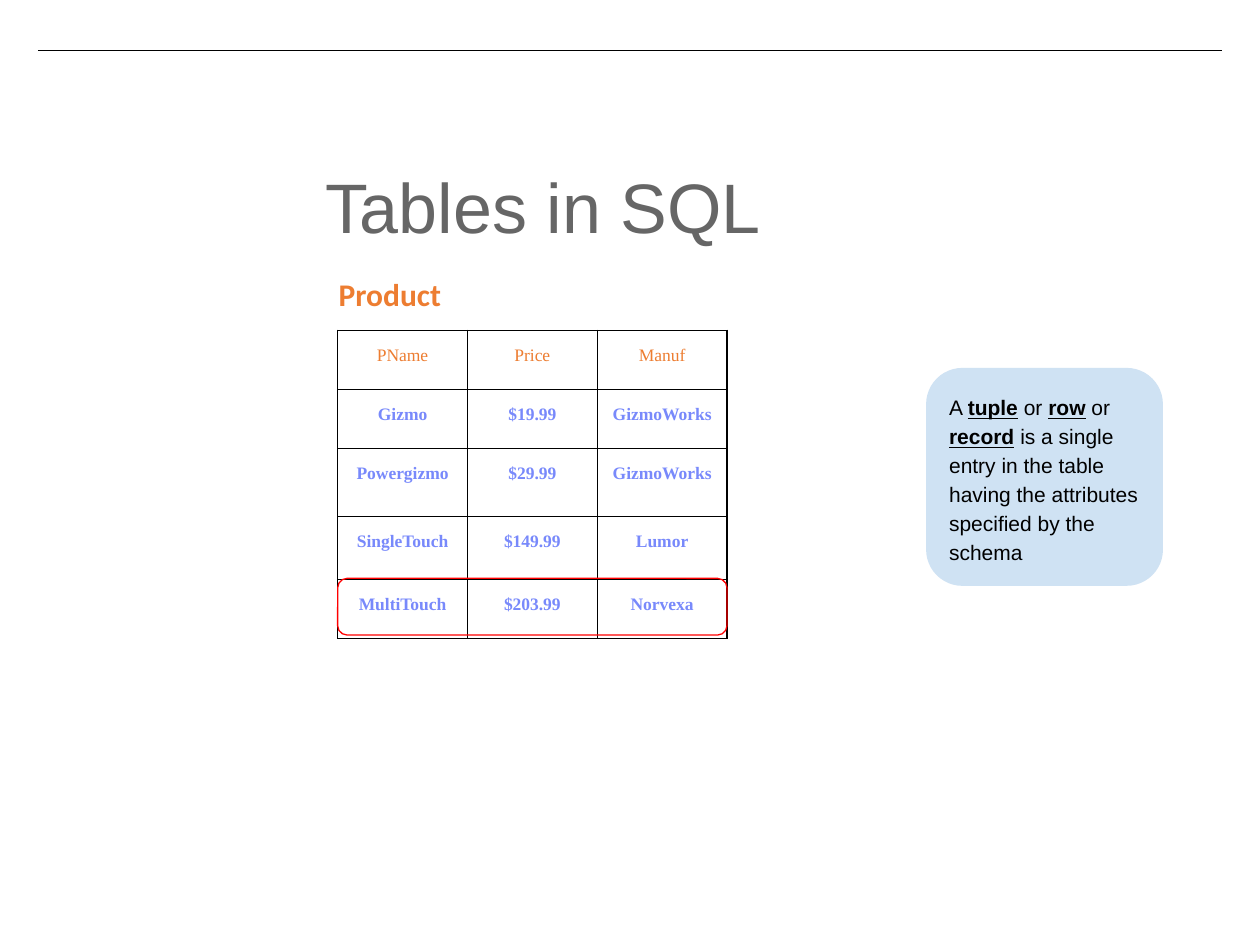
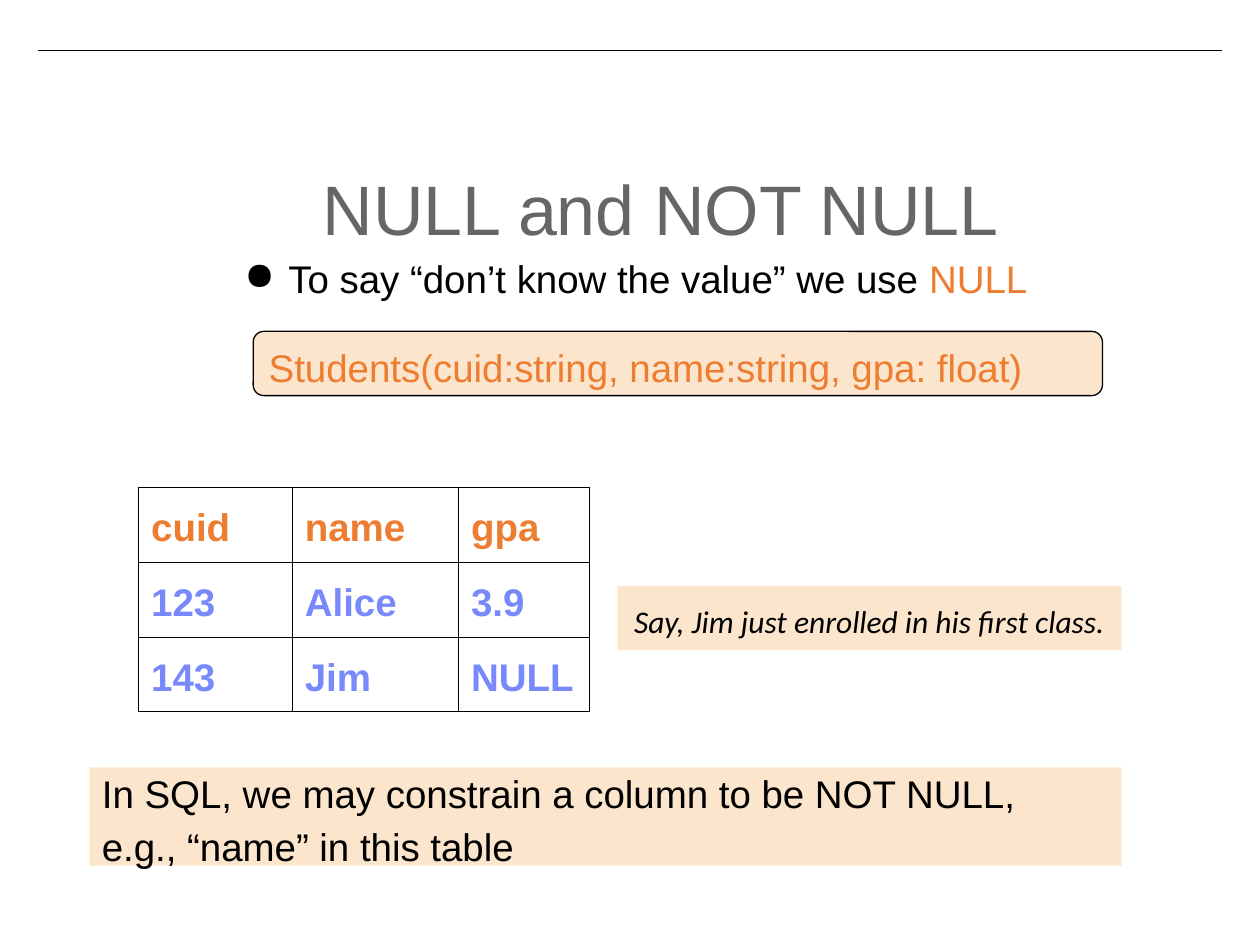
from dataclasses import dataclass
from typing import NamedTuple, Optional

import pptx
import pptx.dml.color
import pptx.enum.shapes
import pptx.enum.text
import pptx.oxml
import pptx.oxml.ns
import pptx.util
from lxml import etree

RGBColor = pptx.dml.color.RGBColor
Align = pptx.enum.text.PP_ALIGN
Anchor = pptx.enum.text.MSO_ANCHOR
Shape = pptx.enum.shapes.MSO_SHAPE
qn = pptx.oxml.ns.qn

BLACK = RGBColor(0x00, 0x00, 0x00)
GREY = RGBColor(0x66, 0x66, 0x66)
ORANGE = RGBColor(0xED, 0x7D, 0x31)
PERIWINKLE = RGBColor(0x78, 0x89, 0xFB)
RED = RGBColor(0xFF, 0x00, 0x00)
PALE_BLUE = RGBColor(0xCF, 0xE2, 0xF3)
PALE_ORANGE = RGBColor(0xFC, 0xE5, 0xCD)

EMU_PER_PX = 9144
INSET = 10
TITLE_TOP_INSET = 16
RULE_WIDTH = pptx.util.Pt(0.75)


class Rect(NamedTuple):
    left: int
    top: int
    width: int
    height: int


class Run(NamedTuple):
    text: str
    color: RGBColor = BLACK
    bold: bool = False
    italic: bool = False
    underline: bool = False


@dataclass(frozen=True)
class TextStyle:
    size: int
    font: str = "Arial"
    align: Align = Align.LEFT
    anchor: Anchor = Anchor.MIDDLE
    line_spacing: float = 1.15
    space_before: int = 0


@dataclass(frozen=True)
class Box:
    rect: Rect
    paragraphs: tuple[tuple[Run, ...], ...] = ()
    style: TextStyle = TextStyle(22)
    preset: Shape = Shape.RECTANGLE
    fill: Optional[RGBColor] = None
    line: Optional[RGBColor] = None


@dataclass(frozen=True)
class Grid:
    rect: Rect
    columns: tuple[int, ...]
    row_heights: tuple[int, ...]
    rows: tuple[tuple[str, ...], ...]
    style: TextStyle
    bold_header: bool


TITLE_STYLE = TextStyle(40, anchor=Anchor.TOP, line_spacing=1.0)
BODY_STYLE = TextStyle(22)
BULLET_STYLE = TextStyle(22, line_spacing=0.9)
PRODUCT_CELL_STYLE = TextStyle(
    10, "Times New Roman", Align.CENTER, Anchor.TOP, space_before=4
)
STUDENT_CELL_STYLE = TextStyle(22, anchor=Anchor.TOP)

PRODUCT_LABEL = Box(
    Rect(259, 200, 160, 62),
    ((Run("Product", ORANGE, bold=True),),),
    TextStyle(18, "Calibri"),
)
PRODUCT_TABLE = Grid(
    Rect(268, 262, 309, 244),
    (103, 103, 103),
    (47, 47, 54, 50, 47),
    (
        ("PName", "Price", "Manuf"),
        ("Gizmo", "$19.99", "GizmoWorks"),
        ("Powergizmo", "$29.99", "GizmoWorks"),
        ("SingleTouch", "$149.99", "Lumor"),
        ("MultiTouch", "$203.99", "Norvexa"),
    ),
    PRODUCT_CELL_STYLE,
    bold_header=False,
)
TUPLE_NOTE = Box(
    Rect(735, 292, 188, 173),
    (
        (
            Run("A "),
            Run("tuple", bold=True, underline=True),
            Run(" or "),
            Run("row", bold=True, underline=True),
            Run(" or "),
            Run("record", bold=True, underline=True),
            Run(
                " is a single entry in the table having the attributes "
                "specified by the schema"
            ),
        ),
    ),
    TextStyle(12, anchor=Anchor.TOP),
    Shape.ROUNDED_RECTANGLE,
    PALE_BLUE,
)
TUPLE_OUTLINE = Box(
    Rect(268, 459, 309, 45), preset=Shape.ROUNDED_RECTANGLE, line=RED
)

STUDENT_TABLE = Grid(
    Rect(110, 387, 358, 156),
    (122, 132, 104),
    (52, 52, 52),
    (
        ("cuid", "name", "gpa"),
        ("123", "Alice", "3.9"),
        ("143", "Jim", "NULL"),
    ),
    STUDENT_CELL_STYLE,
    bold_header=True,
)
JIM_NOTE = Box(
    Rect(490, 465, 400, 51),
    ((Run("Say, Jim just enrolled in his first class.", italic=True),),),
    TextStyle(18, "Calibri", Align.CENTER),
    fill=PALE_ORANGE,
)
NULL_BULLET = Box(
    Rect(169, 198, 772, 50),
    ((Run("To say “don’t know the value” we use "), Run("NULL", ORANGE)),),
    BULLET_STYLE,
)
STUDENT_SCHEMA = Box(
    Rect(201, 263, 674, 51),
    ((Run("Students(cuid:string, name:string, gpa: float)", ORANGE),),),
    BODY_STYLE,
    Shape.ROUNDED_RECTANGLE,
    PALE_ORANGE,
    BLACK,
)
CONSTRAINT_NOTE = Box(
    Rect(71, 609, 819, 78),
    (
        (Run("In SQL, we may constrain a column to be NOT NULL,"),),
        (Run("e.g., “name” in this table"),),
    ),
    BODY_STYLE,
    fill=PALE_ORANGE,
)


def px(length: int) -> pptx.util.Emu:
    return pptx.util.Emu(length * EMU_PER_PX)


def place(rect: Rect) -> tuple[pptx.util.Emu, ...]:
    return tuple(px(length) for length in rect)


def format_paragraph(paragraph, runs: tuple[Run, ...], style: TextStyle) -> None:
    paragraph.alignment = style.align
    paragraph.line_spacing = style.line_spacing
    paragraph.space_before = pptx.util.Pt(style.space_before)
    for item in runs:
        run = paragraph.add_run()
        run.text = item.text
        run.font.name = style.font
        run.font.size = pptx.util.Pt(style.size)
        run.font.color.rgb = item.color
        run.font.bold = item.bold
        run.font.italic = item.italic
        run.font.underline = item.underline


def set_insets(target) -> None:
    target.margin_left = target.margin_right = px(INSET)
    target.margin_top = target.margin_bottom = px(INSET)
    target.vertical_anchor = Anchor.TOP


def write_text(text_frame, paragraphs, style: TextStyle) -> None:
    set_insets(text_frame)
    text_frame.word_wrap = True
    text_frame.auto_size = pptx.enum.text.MSO_AUTO_SIZE.NONE
    text_frame.vertical_anchor = style.anchor
    for index, runs in enumerate(paragraphs):
        paragraph = text_frame.add_paragraph() if index else text_frame.paragraphs[0]
        format_paragraph(paragraph, runs, style)


def add_box(slide, box: Box):
    if box.fill is None and box.line is None:
        shape = slide.shapes.add_textbox(*place(box.rect))
    else:
        shape = slide.shapes.add_shape(box.preset, *place(box.rect))
        shape.shadow.inherit = False
        if box.fill is None:
            shape.fill.background()
        else:
            shape.fill.solid()
            shape.fill.fore_color.rgb = box.fill
        if box.line is None:
            shape.line.fill.background()
        else:
            shape.line.color.rgb = box.line
            shape.line.width = RULE_WIDTH
    if box.paragraphs:
        write_text(shape.text_frame, box.paragraphs, box.style)
    return shape


def add_bullet(paragraph, indent: int, hanging: int) -> None:
    properties = paragraph._p.get_or_add_pPr()
    properties.set("marL", str(px(indent)))
    properties.set("indent", str(-px(hanging)))
    etree.SubElement(properties, qn("a:buChar")).set("char", "●")


def set_cell_borders(cell) -> None:
    properties = cell._tc.get_or_add_tcPr()
    for index, side in enumerate(("lnL", "lnR", "lnT", "lnB")):
        border = etree.Element(qn(f"a:{side}"), w=str(RULE_WIDTH))
        fill = etree.SubElement(border, qn("a:solidFill"))
        etree.SubElement(fill, qn("a:srgbClr")).set("val", str(BLACK))
        properties.insert(index, border)


def add_grid(slide, grid: Grid) -> None:
    frame = slide.shapes.add_table(
        len(grid.rows), len(grid.columns), *place(grid.rect)
    )
    table = frame.table
    table.first_row = False
    table.horz_banding = False
    for column, width in zip(table.columns, grid.columns):
        column.width = px(width)
    for row_index, (row, height) in enumerate(zip(table.rows, grid.row_heights)):
        row.height = px(height)
        color = PERIWINKLE if row_index else ORANGE
        bold = row_index > 0 or grid.bold_header
        for cell, value in zip(row.cells, grid.rows[row_index]):
            cell.fill.background()
            set_cell_borders(cell)
            set_insets(cell)
            runs = (Run(value, color, bold=bold),)
            format_paragraph(cell.text_frame.paragraphs[0], runs, grid.style)


def add_top_rule(slide) -> None:
    rule = slide.shapes.add_connector(
        pptx.enum.shapes.MSO_CONNECTOR.STRAIGHT, px(30), px(40), px(970), px(40)
    )
    rule.line.color.rgb = BLACK
    rule.line.width = RULE_WIDTH
    etree.SubElement(rule._element.spPr, qn("a:effectLst"))


def add_titled_slide(presentation, title: str, rect: Rect):
    slide = presentation.slides.add_slide(presentation.slide_layouts[5])
    add_top_rule(slide)
    shape = slide.shapes.title
    shape.left, shape.top, shape.width, shape.height = place(rect)
    write_text(shape.text_frame, ((Run(title, GREY),),), TITLE_STYLE)
    shape.text_frame.margin_top = px(TITLE_TOP_INSET)
    return slide


def build_tables_slide(presentation) -> None:
    slide = add_titled_slide(presentation, "Tables in SQL", Rect(248, 114, 609, 75))
    add_box(slide, PRODUCT_LABEL)
    add_grid(slide, PRODUCT_TABLE)
    add_box(slide, TUPLE_NOTE)
    add_box(slide, TUPLE_OUTLINE)


def build_null_slide(presentation) -> None:
    slide = add_titled_slide(
        presentation, "NULL and NOT NULL", Rect(246, 115, 706, 127)
    )
    add_grid(slide, STUDENT_TABLE)
    add_box(slide, JIM_NOTE)
    bullet = add_box(slide, NULL_BULLET)
    add_bullet(bullet.text_frame.paragraphs[0], 50, 35)
    add_box(slide, STUDENT_SCHEMA)
    add_box(slide, CONSTRAINT_NOTE)


def main() -> None:
    presentation = pptx.Presentation()
    presentation.slide_width = px(1000)
    presentation.slide_height = px(750)
    build_tables_slide(presentation)
    build_null_slide(presentation)
    presentation.save("out.pptx")


if __name__ == "__main__":
    main()
